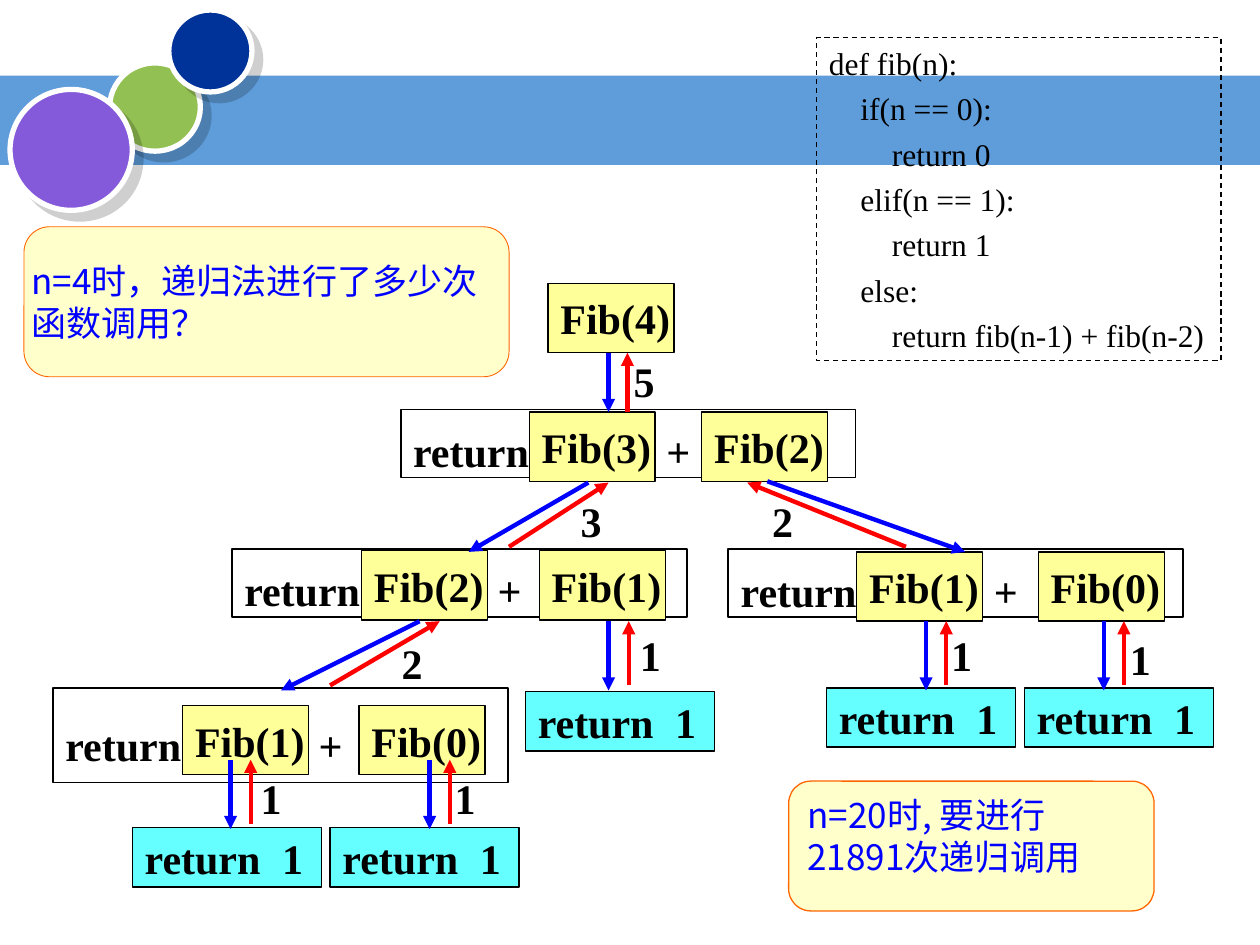
from lxml import etree
from pptx import Presentation
from pptx.dml.color import RGBColor
from pptx.enum.dml import MSO_LINE
from pptx.enum.shapes import MSO_CONNECTOR, MSO_SHAPE
from pptx.enum.text import MSO_ANCHOR, PP_ALIGN
from pptx.oxml.ns import qn
from pptx.util import Emu, Pt

PX = 9144  # 100 px to the inch
BLANK_LAYOUT = 6
RECT, ELLIPSE = MSO_SHAPE.RECTANGLE, MSO_SHAPE.OVAL
ROUNDED, CALLOUT = MSO_SHAPE.ROUNDED_RECTANGLE, MSO_SHAPE.ROUNDED_RECTANGULAR_CALLOUT
STRAIGHT = MSO_CONNECTOR.STRAIGHT
TOP, MIDDLE = MSO_ANCHOR.TOP, MSO_ANCHOR.MIDDLE
LEFT = PP_ALIGN.LEFT
DASH = MSO_LINE.DASH

SERIF, SANS = "Times New Roman", "Noto Sans CJK SC"
BLACK, WHITE, BLUE, RED = "000000", "FFFFFF", "0000FF", "FF0000"
FIB_FILL, RESULT_FILL, NOTE_FILL, NOTE_LINE = "FFFF99", "66FFFF", "FFFFCC", "FF6600"

CIRCLES = [
    (87, 50, 72, 70, "93C052"),
    (134, 8, 66, 65, "003399"),
    (8, 71, 97, 96, "855ADA"),
]
# frame left, top, height, offset down to the calls, then the two calls
# as (offset right, argument)
SUMS = [
    (318, 325, 54, 2, [(102, 3), (239, 2)]),
    (184, 436, 54, 1, [(103, 2), (244, 1)]),
    (578, 436, 54, 2, [(102, 1), (246, 0)]),
    (42, 546, 75, 14, [(103, 1), (243, 0)]),
]
RESULTS = [(417, 549), (656, 546), (813, 546), (105, 657), (262, 657)]
# call arrow, return arrow, returned value and its place
BRANCHES = [
    ((483, 280, 483, 327), (498, 327, 498, 280), "5", (493, 277)),
    ((467, 383, 372, 438), (404, 434, 483, 383), "3", (451, 388)),
    ((609, 382, 766, 438), (719, 434, 593, 383), "2", (603, 388)),
    ((333, 493, 223, 548), (262, 544, 349, 493), "2", (309, 501)),
]
# arrow x, top, place of the returned value
LEAVES = [
    (483, 493, (498, 495)),
    (735, 493, (745, 495)),
    (876, 493, (887, 498)),
    (183, 603, (197, 608)),
    (341, 603, (351, 608)),
]
CODE = [
    (0, "def fib(n):"),
    (1, "if(n == 0):"),
    (2, "return 0"),
    (1, "elif(n == 1):"),
    (2, "return 1"),
    (1, "else:"),
    (2, "return fib(n-1) + fib(n-2)"),
]


def px(length):
    return Emu(length * PX)


def rgb(color):
    return RGBColor.from_string(color)


def add_box(slide, kind, left, top, width, height, fill=None, line=None, weight=0.75):
    box = slide.shapes.add_shape(kind, px(left), px(top), px(width), px(height))
    box.shadow.inherit = False
    if fill:
        box.fill.solid()
        box.fill.fore_color.rgb = rgb(fill)
    else:
        box.fill.background()
    if line:
        box.line.color.rgb = rgb(line)
        box.line.width = Pt(weight)
    else:
        box.line.fill.background()
    return box


def format_frame(shape, **values):
    for name, value in values.items():
        setattr(shape.text_frame, name, value)


def write(paragraph, text, size=24, font=SERIF, color=BLACK, bold=True):
    paragraph.alignment = LEFT
    run = paragraph.add_run()
    run.text = text
    for name, value in {"size": Pt(size), "name": font, "bold": bold}.items():
        setattr(run.font, name, value)
    run.font.color.rgb = rgb(color)
    etree.SubElement(run.font._element, qn("a:ea"), typeface=font)


def add_tab_stop(paragraph, position):
    stops = etree.SubElement(paragraph._p.get_or_add_pPr(), qn("a:tabLst"))
    etree.SubElement(stops, qn("a:tab"), pos=str(px(position)), algn="l")


def add_circle(slide, left, top, width, height, fill):
    circle = add_box(slide, ELLIPSE, left, top, width, height, fill, WHITE, 3)
    effects = circle._element.spPr.find(qn("a:effectLst"))
    shadow = etree.SubElement(effects, qn("a:outerShdw"), blurRad="0",
                              dist=str(Pt(7.1)), dir="2700000", algn="ctr", rotWithShape="0")
    tint = etree.SubElement(shadow, qn("a:srgbClr"), val=BLACK)
    etree.SubElement(tint, qn("a:alpha"), val="19000")


def add_arrow(slide, ends, color):
    arrow = slide.shapes.add_connector(STRAIGHT, *map(px, ends))
    arrow.line.color.rgb = rgb(color)
    arrow.line.width = Pt(2.5)
    etree.SubElement(arrow.line._get_or_add_ln(), qn("a:tailEnd"), type="triangle")
    etree.SubElement(arrow._element.spPr, qn("a:effectLst"))


def add_fib(slide, left, top, n):
    call = add_box(slide, RECT, left, top, 100, 55, FIB_FILL, BLACK)
    format_frame(call, word_wrap=False, vertical_anchor=MIDDLE)
    write(call.text_frame.paragraphs[0], f"Fib({n})")


def add_sum(slide, left, top, height, drop, calls):
    """Frame reading "return ... + ..." with a call in each gap."""
    frame = add_box(slide, RECT, left, top, 361, height, line=BLACK, weight=1)
    format_frame(frame, word_wrap=True, vertical_anchor=TOP, margin_top=px(3 + drop))
    expression = frame.text_frame.paragraphs[0]
    expression.line_spacing = 1.2
    add_tab_stop(expression, 201)
    write(expression, "return\t+")
    for shift, n in calls:
        add_fib(slide, left + shift, top + drop, n)


def add_result(slide, left, top):
    result = add_box(slide, RECT, left, top, 150, 47, RESULT_FILL, BLACK)
    format_frame(result, word_wrap=True, vertical_anchor=MIDDLE)
    statement = result.text_frame.paragraphs[0]
    add_tab_stop(statement, 109)
    write(statement, "return\t1")


def add_branch(slide, call, back, value, place):
    add_arrow(slide, call, BLUE)
    add_arrow(slide, back, RED)
    label = slide.shapes.add_textbox(*map(px, (*place, 37, 50)))
    format_frame(label, word_wrap=False)
    write(label.text_frame.paragraphs[0], value)


def add_note(slide, note, text, **frame):
    format_frame(note, word_wrap=True, **frame)
    write(note.text_frame.paragraphs[0], text, 20, SANS, BLUE, False)


def add_code(slide):
    listing = add_box(slide, RECT, 648, 30, 321, 256, line=BLACK)
    listing.line.dash_style = DASH
    format_frame(listing, word_wrap=False, vertical_anchor=TOP)
    for row, (depth, text) in enumerate(CODE):
        frame = listing.text_frame
        statement = frame.add_paragraph() if row else frame.paragraphs[0]
        statement.space_before = Pt(4.3)
        statement._p.get_or_add_pPr().set("marL", str(px(25 * depth)))
        write(statement, text, 18, bold=False)


def main():
    deck = Presentation()
    deck.slide_width, deck.slide_height = px(1000), px(750)
    slide = deck.slides.add_slide(deck.slide_layouts[BLANK_LAYOUT])

    add_box(slide, RECT, 0, 60, 1000, 71, "5E9CDA")
    for circle in CIRCLES:
        add_circle(slide, *circle)

    question = add_box(slide, CALLOUT, 19, 180, 385, 119, NOTE_FILL, NOTE_LINE, 0.5)
    for index, value in enumerate((-0.33, -0.5, 0.17)):
        question.adjustments[index] = value
    add_note(slide, question, "n=4时，递归法进行了多少次函数调用？",
             vertical_anchor=MIDDLE, margin_left=0, margin_right=0)

    add_fib(slide, 435, 225, 4)
    for terms in SUMS:
        add_sum(slide, *terms)
    for place in RESULTS:
        add_result(slide, *place)
    for branch in BRANCHES:
        add_branch(slide, *branch)
    for x, top, place in LEAVES:
        back = x + 16
        add_branch(slide, (x, top, x, top + 55), (back, top + 51, back, top), "1", place)

    total = add_box(slide, ROUNDED, 626, 620, 290, 103, NOTE_FILL, NOTE_LINE)
    total.adjustments[0] = 0.17
    add_note(slide, total, "n=20时, 要进行21891次递归调用", vertical_anchor=TOP)
    add_code(slide)
    deck.save("out.pptx")


if __name__ == "__main__":
    main()
